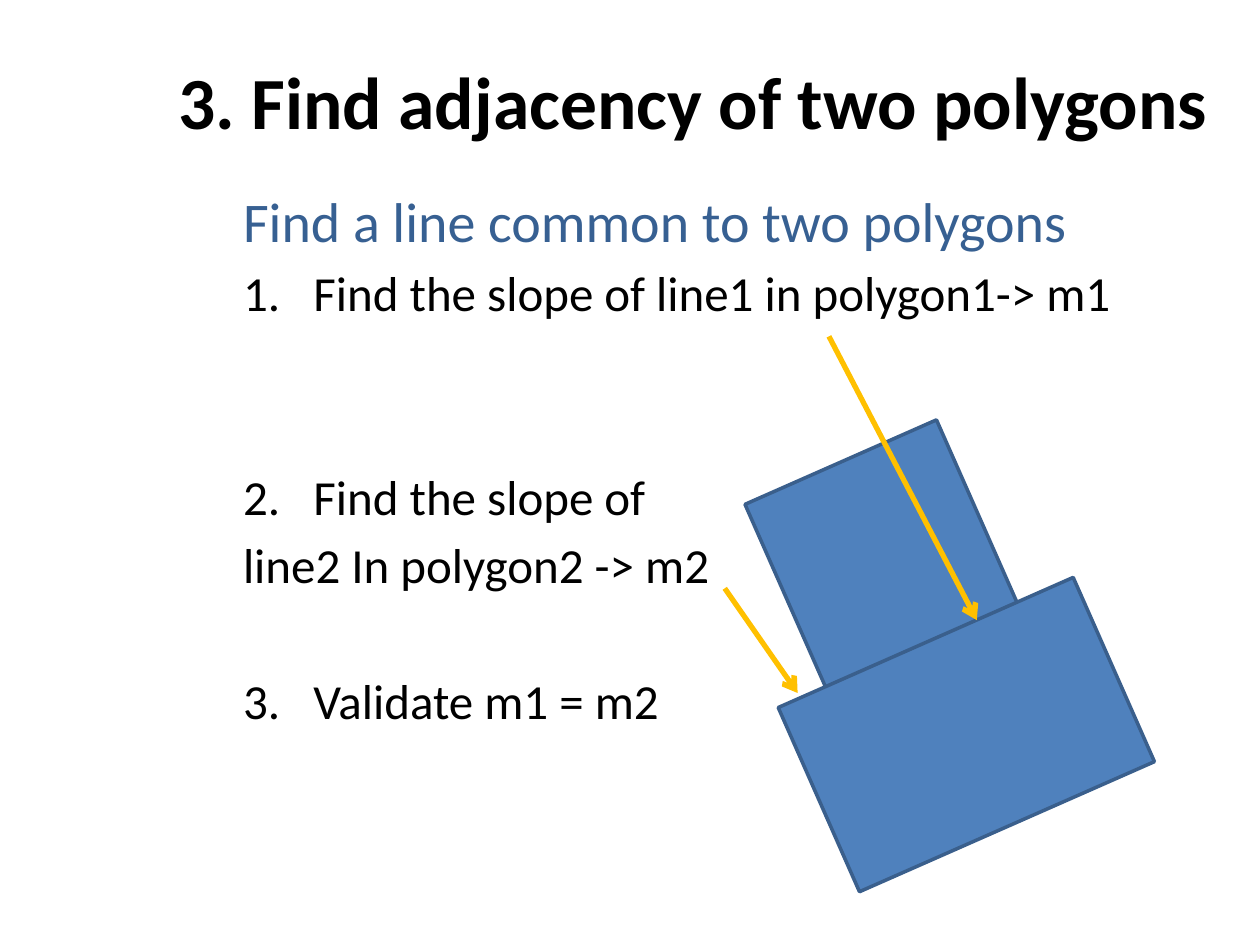
from lxml import etree
from pptx import Presentation, util as u
from pptx.dml.color import RGBColor
from pptx.enum import shapes, text
from pptx.oxml.ns import qn

deck = Presentation()
deck.slide_width, deck.slide_height = u.Cm(25.4), u.Cm(19.05)
slide = deck.slides.add_slide(deck.slide_layouts[6])


def color(hex_code):
    return RGBColor.from_string(hex_code)


def write(paragraph, words, size=28, ink="000000", bold=False, before=0,
          align=text.PP_ALIGN.LEFT, number=None):
    if number:
        props = paragraph._p.get_or_add_pPr()
        props.set("marL", str(u.Cm(1.42)))
        props.set("indent", str(u.Cm(-1.42)))
        etree.SubElement(props, qn("a:buFont"), typeface="+mj-lt")
        etree.SubElement(props, qn("a:buAutoNum"), type="arabicPeriod", startAt=str(number))
    paragraph.alignment = align
    paragraph.space_before = u.Pt(before)
    run = paragraph.add_run()
    run.text = words
    run.font.name, run.font.size, run.font.bold = "Calibri", u.Pt(size), bold
    run.font.color.rgb = color(ink)


# Title
title = slide.shapes.add_textbox(u.Cm(2.54), u.Cm(0.43), u.Cm(22.86), u.Cm(3.18)).text_frame
title.word_wrap = True
title.vertical_anchor = text.MSO_ANCHOR.MIDDLE
write(title.paragraphs[0], "3. Find adjacency of two polygons", size=42, bold=True,
      align=text.PP_ALIGN.CENTER)

# Goal and numbered steps
steps = slide.shapes.add_textbox(u.Cm(4.65), u.Cm(3.63), u.Cm(20.75), u.Cm(14.6)).text_frame
steps.word_wrap = True
write(steps.paragraphs[0], "Find a line common to two polygons", size=32, ink="376092")
gap, line_pitch = 5, 39.2
for words, number, skipped_lines in [
    ("Find the slope of line1 in polygon1-> m1", 1, 0),
    ("Find the slope of", 2, 2),
    ("line2 In polygon2 -> m2", None, 0),
    ("Validate m1 = m2", 3, 1),
]:
    write(steps.add_paragraph(), words, number=number, before=gap + skipped_lines * line_pitch)

# Two adjacent polygons
for left, top, width, height in [(15.57, 9.32, 4.62, 4.22), (17.45, 11.56, 4.06, 6.5)]:
    polygon = slide.shapes.add_shape(shapes.MSO_SHAPE.RECTANGLE, u.Cm(left), u.Cm(top),
                                     u.Cm(width), u.Cm(height))
    polygon.rotation = 66.2
    polygon.shadow.inherit = False
    polygon.fill.solid()
    polygon.fill.fore_color.rgb = color("4F81BD")
    polygon.line.color.rgb = color("3A5F8C")
    polygon.line.width = u.Pt(2)

# Arrows from the steps to the lines they name
for ends in [(16.71, 6.78, 19.69, 12.5), (14.61, 11.86, 16.08, 13.97)]:
    arrow = slide.shapes.add_connector(shapes.MSO_CONNECTOR.STRAIGHT, *map(u.Cm, ends))
    arrow.line.color.rgb = color("FFC000")
    arrow.line.width = u.Pt(3)
    etree.SubElement(arrow.line._get_or_add_ln(), qn("a:tailEnd"), type="arrow")
    etree.SubElement(arrow._element.spPr, qn("a:effectLst"))

deck.save("out.pptx")
